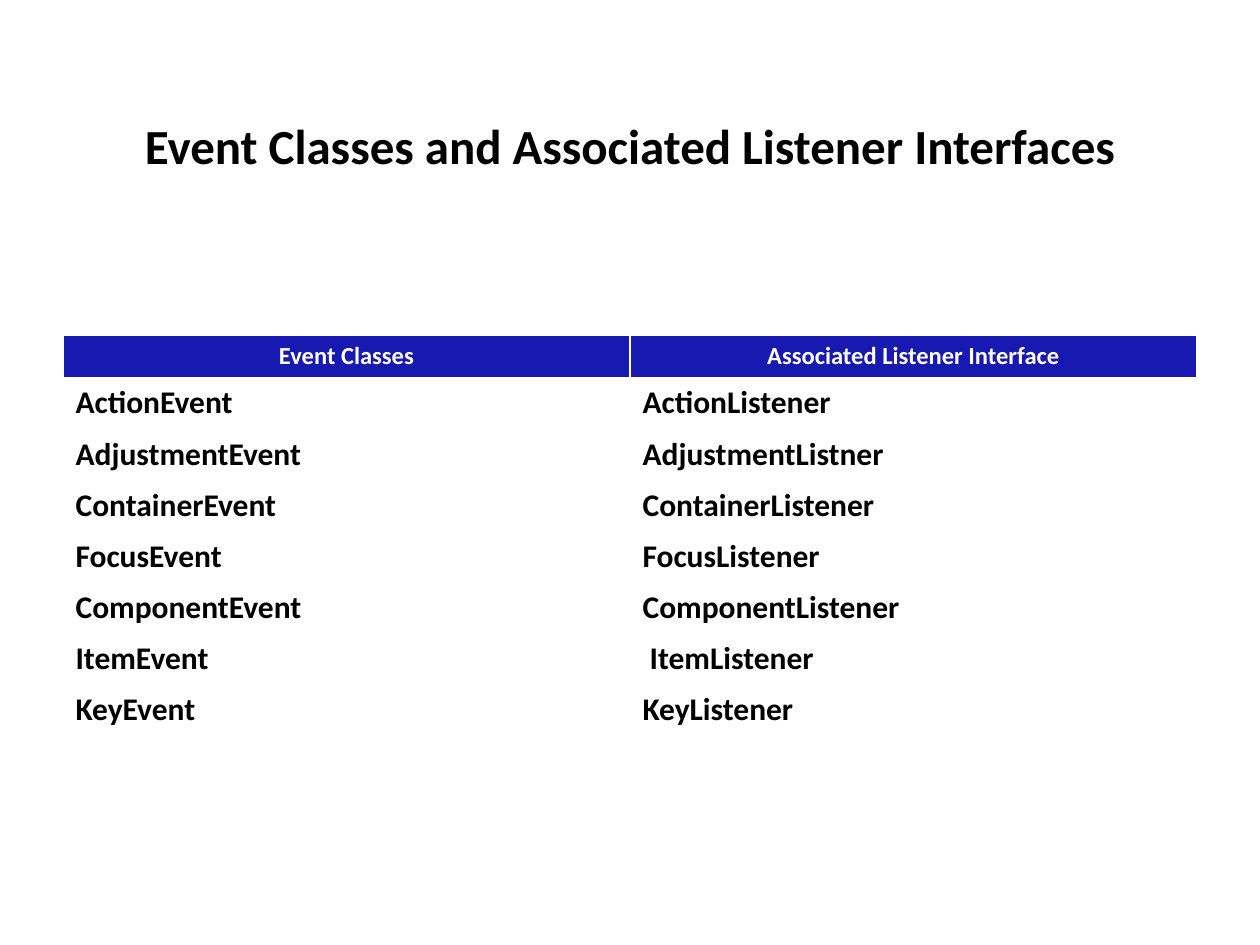
from pptx import Presentation
from pptx.dml.color import RGBColor
from pptx.enum.text import MSO_ANCHOR, PP_ALIGN
from pptx.util import Inches, Pt

# Content
TITLE = "Event Classes and Associated Listener Interfaces"
ROWS = [
    ("Event Classes", "Associated Listener Interface"),
    ("ActionEvent", "ActionListener"),
    ("AdjustmentEvent", "AdjustmentListner"),
    ("ContainerEvent", "ContainerListener"),
    ("FocusEvent", "FocusListener"),
    ("ComponentEvent", "ComponentListener"),
    ("ItemEvent", " ItemListener"),
    ("KeyEvent", "KeyListener"),
]

# Look
BLACK = RGBColor(0x00, 0x00, 0x00)
WHITE = RGBColor(0xFF, 0xFF, 0xFF)
BLUE = RGBColor(0x17, 0x19, 0xB0)
BASE = {"name": "Calibri", "bold": True}
HEAD = {**BASE, "size": Pt(14)}
BODY = {**BASE, "size": Pt(18)}
TOP = {**BASE, "size": Pt(28)}

LEFT, WIDTH = 0.5, 9
HEAD_H, ROW_H = 0.33, 0.4


def style(para, form, color, align):
    para.alignment = align
    for key, value in form.items():
        setattr(para.font, key, value)
    para.font.color.rgb = color


deck = Presentation()
deck.slide_width, deck.slide_height = Inches(10), Inches(7.5)
slide = deck.slides.add_slide(deck.slide_layouts[5])

# Title
title = slide.shapes.title
title.left, title.top = Inches(LEFT), Inches(0.96)
title.width, title.height = Inches(WIDTH), Inches(0.38)
frame = title.text_frame
frame.text = TITLE
frame.word_wrap = True
frame.vertical_anchor = MSO_ANCHOR.MIDDLE
style(frame.paragraphs[0], TOP, BLACK, PP_ALIGN.CENTER)

# Table of events and listeners
high = HEAD_H + ROW_H * (len(ROWS) - 1)
table = slide.shapes.add_table(
    len(ROWS), len(ROWS[0]),
    Inches(LEFT), Inches(2.66), Inches(WIDTH), Inches(high)).table
table.horz_banding = False
table.first_row = False

# An unfilled table style would add borders, so each cell sets its own fill
for r, row in enumerate(ROWS):
    first = r == 0
    table.rows[r].height = Inches(HEAD_H if first else ROW_H)
    for c, text in enumerate(row):
        cell = table.cell(r, c)
        cell.text = text
        cell.vertical_anchor = MSO_ANCHOR.MIDDLE
        para = cell.text_frame.paragraphs[0]
        if first:
            cell.fill.solid()
            cell.fill.fore_color.rgb = BLUE
            style(para, HEAD, WHITE, PP_ALIGN.CENTER)
        else:
            cell.fill.background()
            style(para, BODY, BLACK, PP_ALIGN.LEFT)

deck.save("out.pptx")
